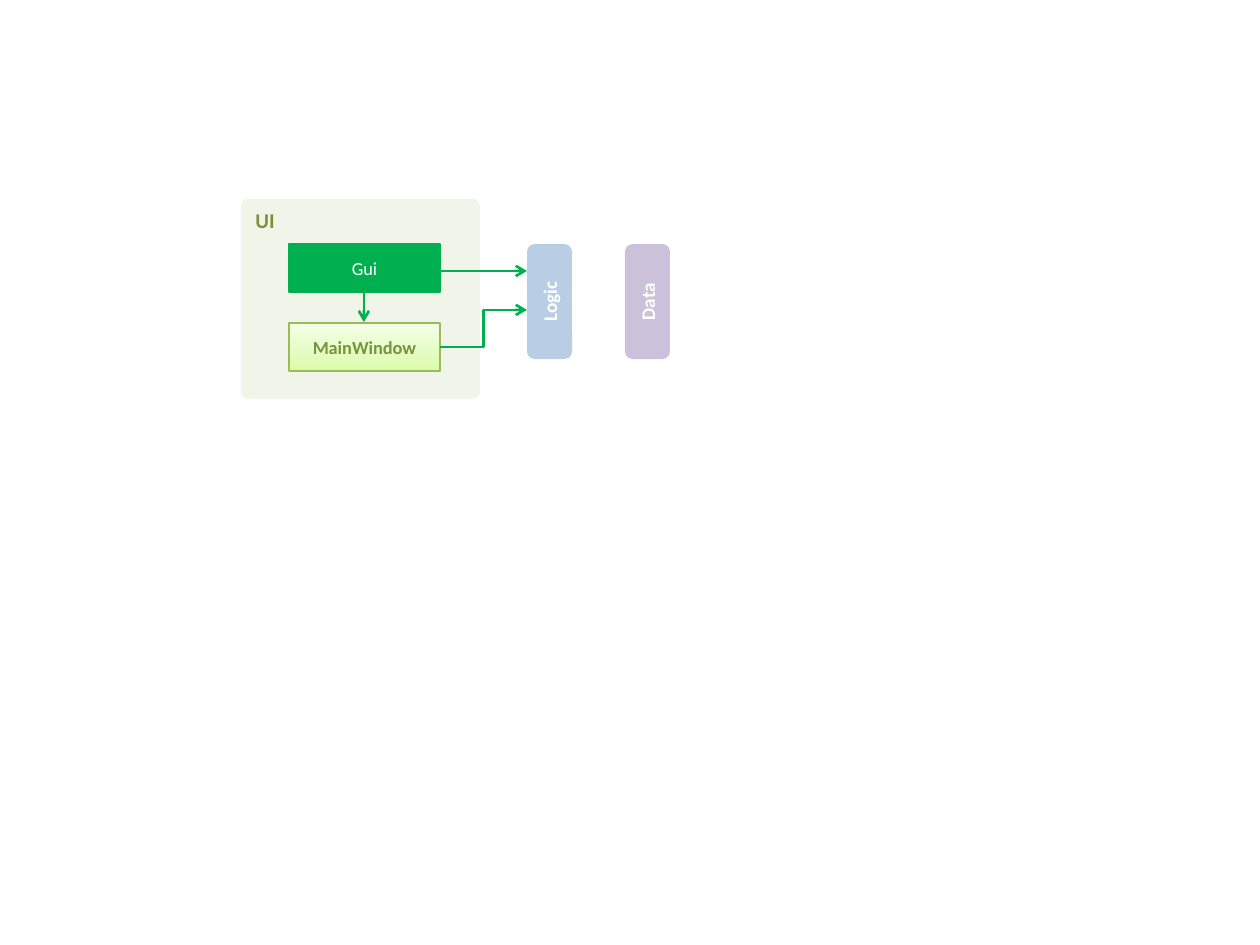
"""Build a slide of the UI part and its links to Logic and Data."""
from copy import deepcopy

from pptx import Presentation
from pptx.dml.color import RGBColor as RGB
from pptx.enum.shapes import MSO_CONNECTOR as LINK, MSO_SHAPE as SHAPE
from pptx.enum.text import MSO_ANCHOR as ANCHOR, PP_ALIGN as ALIGN
from pptx.oxml.ns import qn
from pptx.oxml.xmlchemy import OxmlElement as Node
from pptx.util import Pt

SCALE = 914400 / 126
WHITE = RGB(0xFF, 0xFF, 0xFF)
GREEN = RGB(0x00, 0xB0, 0x50)
OLIVE = RGB(0x77, 0x93, 0x3C)
LEAF = RGB(0x9B, 0xBB, 0x59)
PALE = RGB(0xF1, 0xF5, 0xE9)
BLUE = RGB(0xB9, 0xCD, 0xE5)
LILAC = RGB(0xCC, 0xC1, 0xDA)
FADE = ((0, RGB(0xDA, 0xFD, 0xA7)), (0.35, RGB(0xE4, 0xFC, 0xC2)),
        (1, RGB(0xF5, 0xFF, 0xE7)))


def emu(*sizes):
    """Turn pixels into EMU."""
    return [round(size * SCALE) for size in sizes]


class Sketch:
    """Hold the style and the current slide."""

    def __init__(self, slide, font="Calibri", width=1.5):
        """Keep the slide, the font and the line width."""
        self.shapes, self.font, self.width = slide.shapes, font, Pt(width)

    def box(self, kind, at, text, fill, line=None, size=10.5, color=WHITE,
            bold=True, align=ALIGN.CENTER, anchor=ANCHOR.MIDDLE, turn=0, adj=None):
        """Add a filled shape with a label."""
        box = self.shapes.add_shape(kind, *emu(*at))
        box.shadow.inherit = False
        box.rotation = turn
        if adj is not None:
            box.adjustments[0] = adj
        if isinstance(fill, RGB):
            box.fill.solid()
            box.fill.fore_color.rgb = fill
        else:
            self.fade(box, fill)
        if line is None:
            box.line.fill.background()
        else:
            box.line.color.rgb, box.line.width = line, self.width
        frame = box.text_frame
        frame.vertical_anchor = anchor
        para = frame.paragraphs[0]
        para.alignment = align
        run = para.add_run()
        run.text = text
        look = {"name": self.font, "size": Pt(size), "bold": bold}
        for key, value in look.items():
            setattr(run.font, key, value)
        run.font.color.rgb = color

    def fade(self, box, stops):
        """Fill a shape with a gradient that starts at the bottom."""
        box.fill.gradient()
        box.fill.gradient_angle = 90
        row = box._element.spPr.find(qn("a:gradFill")).find(qn("a:gsLst"))
        while len(row) < len(stops):
            row.append(deepcopy(row[0]))
        for stop, (place, color) in zip(box.fill.gradient_stops, stops):
            stop.position, stop.color.rgb = place, color

    def arrow(self, ends, color, bend=0.5, turn=0):
        """Add an elbow arrow."""
        link = self.shapes.add_connector(LINK.ELBOW, *emu(*ends))
        link.line.color.rgb, link.line.width = color, self.width
        props = link._element.spPr
        props.find(qn("a:xfrm")).set("rot", str(turn * 60000))
        guide = Node("a:gd")
        guide.set("name", "adj1")
        guide.set("fmla", f"val {round(bend * 100000)}")
        props.find(qn("a:prstGeom")).get_or_add_avLst().append(guide)
        head = Node("a:tailEnd")
        head.set("type", "arrow")
        props.find(qn("a:ln")).append(head)
        props.append(Node("a:effectLst"))


def main():
    """Draw the slide and save it."""
    deck = Presentation()
    deck.slide_width, deck.slide_height = emu(1260, 945)
    art = Sketch(deck.slides.add_slide(deck.slide_layouts[6]))
    art.box(SHAPE.ROUNDED_RECTANGLE, (241, 199, 239, 200), "UI", PALE, size=12,
            color=OLIVE, align=ALIGN.LEFT, anchor=ANCHOR.TOP, adj=0.035)
    art.box(SHAPE.RECTANGLE, (289, 323, 151, 48), "MainWindow", FADE, LEAF,
            color=OLIVE)
    art.box(SHAPE.RECTANGLE, (289, 244, 151, 48), "Gui", GREEN, GREEN, bold=False)
    art.arrow((379, 307, 349, 307), GREEN, turn=270)
    for text, left, top, fill in (("Logic", 492, 279, BLUE),
                                  ("Data", 590, 279, LILAC)):
        art.box(SHAPE.ROUNDED_RECTANGLE, (left, top, 115, 45), text, fill,
                size=11, turn=270)
    art.arrow((439, 268, 527, 271), GREEN, bend=0.003)
    art.arrow((440, 347, 527, 310), GREEN)
    deck.save("out.pptx")


main()
